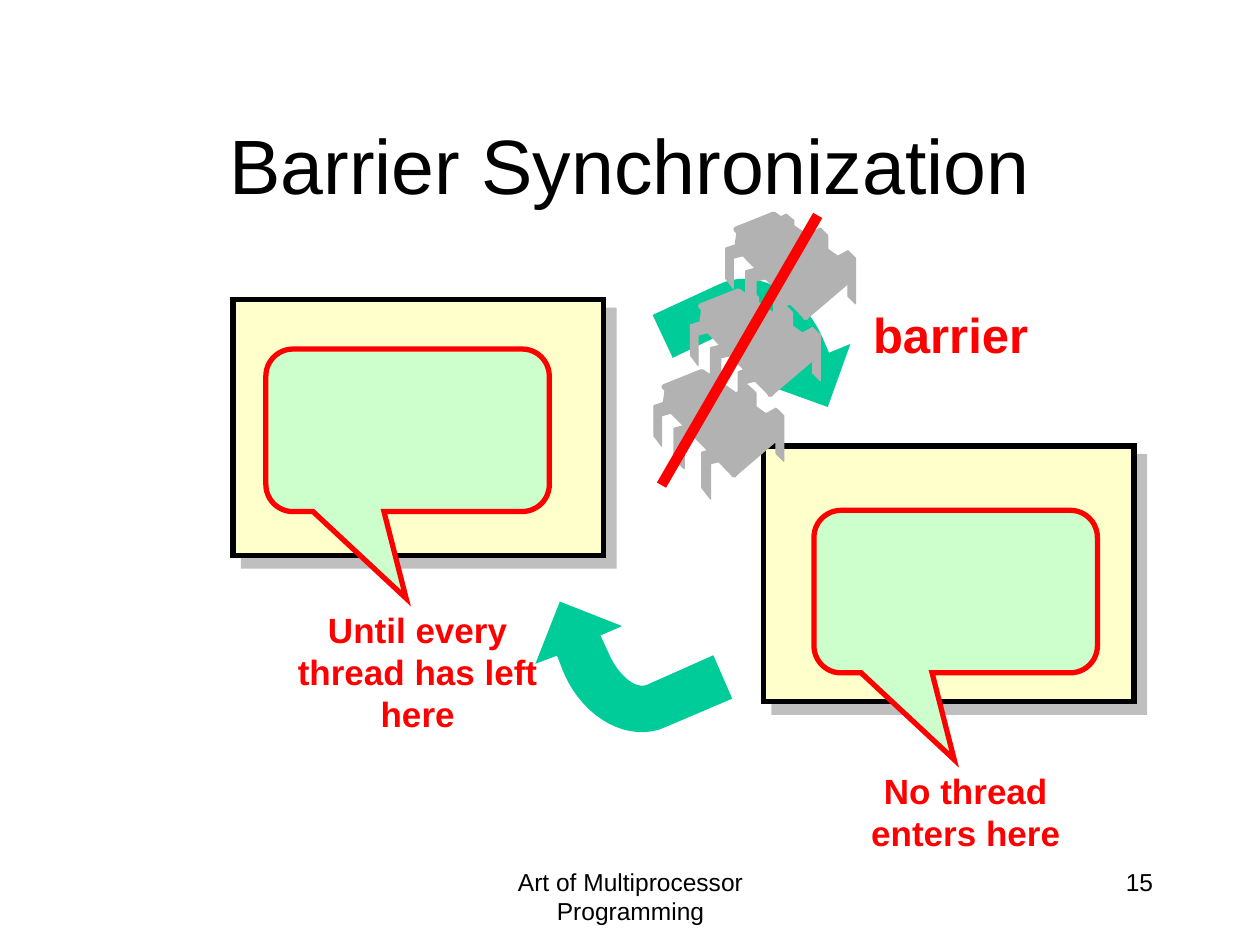
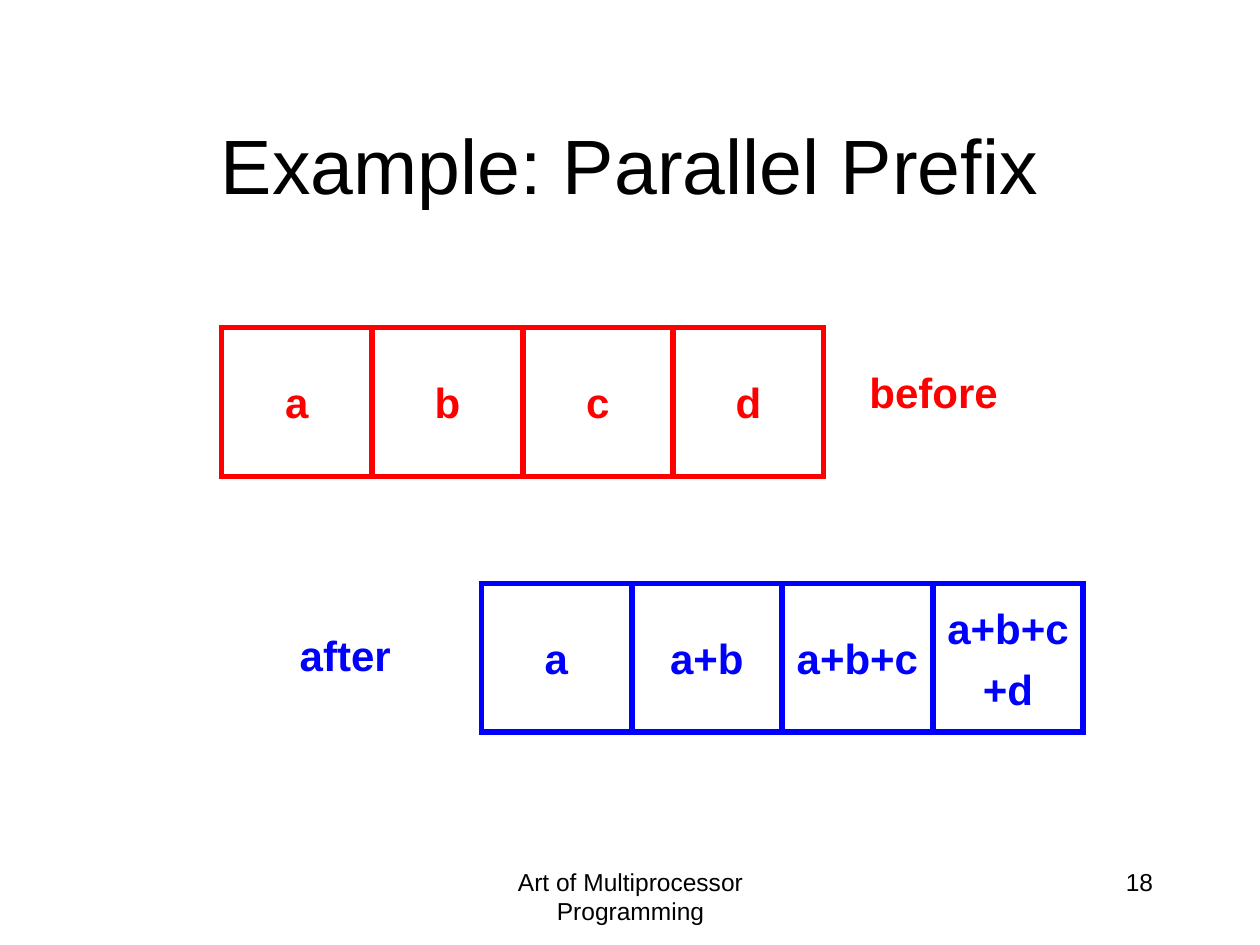
from math import cos, radians, sin

from lxml import etree
from pptx import Presentation
from pptx.dml.color import RGBColor
from pptx.enum.shapes import MSO_CONNECTOR, MSO_SHAPE
from pptx.enum.text import MSO_ANCHOR, PP_ALIGN
from pptx.oxml.ns import qn
from pptx.util import Inches, Pt

RECT = MSO_SHAPE.RECTANGLE
BUBBLE = MSO_SHAPE.ROUNDED_RECTANGULAR_CALLOUT
LINE = MSO_CONNECTOR.STRAIGHT
MID, TOP = MSO_ANCHOR.MIDDLE, MSO_ANCHOR.TOP
MIDDLE, RIGHT = PP_ALIGN.CENTER, PP_ALIGN.RIGHT

# Shared look
FONT = "Arial"
COLORS = {
    "black": "000000", "red": "FF0000", "blue": "0000FF", "cream": "FFFFCC",
    "mint": "CCFFCC", "green": "00CC99", "gray": "B2B2B2", "shade": "808080",
}
FOOTER = "Art of Multiprocessor Programming"
TITLE_AT = (0.75, 0.67, 8.5, 1.25)
FOOT_AT = (3.42, 6.83, 3.17, 0.5)
PAGE_AT = (7.17, 6.83, 2.08, 0.5)

# Barrier slide: rooms with their callouts and captions
ROOM = (2.94, 2.03)
ROOMS = [(1.85, 2.38), (6.06, 3.54)]
CALLOUT = (2.25, 1.29)
TIP = (-0.005, 1.034, 0.167)
NOTES = [
    ((6.46, 4.05), "No thread enters here", 0.77),
    ((2.11, 2.77), "Until every thread has left here", 1.1),
]
NOTE_DX, NOTE_DY, NOTE_W = 0.09, 2.01, 2.23

# Bent arrow: pairs are corners, sextets are cubic curves
ARROW = [
    (6.57, 3.23), (6.75, 2.73), (6.58, 2.8), (6.52, 2.66),
    (6.35, 2.3, 5.98, 2.12, 5.7, 2.26), (5.18, 2.5), (5.34, 2.84),
    (5.86, 2.59), (5.95, 2.55, 6.09, 2.66, 6.17, 2.83),
    (6.24, 2.97), (6.07, 3.05),
]
ARROW_MID = (6.045, 2.78)
ARROWS = [((6.045, 2.78), 0), ((4.955, 5.24), 181.7)]  # centre, turn

# Spider: line width and outline of each part, back to front
SPIDER = [
    (0.75, [(6.05, 3.3), (6.16, 3.24), (6.22, 3.3), (6.22, 3.66),
            (6.16, 3.6), (6.16, 3.36), (6.05, 3.42)]),
    (0.75, [(5.84, 3.12), (5.94, 3.06), (6, 3.12), (6, 3.48),
            (5.94, 3.42), (5.94, 3.18), (5.84, 3.24)]),
    (0.75, [(5.57, 3), (5.67, 2.95), (5.73, 3), (5.73, 3.3),
            (5.67, 3.25), (5.67, 3.05), (5.57, 3.1)]),
    (3, [(5.57, 2.95), (6.16, 3.36), (5.83, 3.61), (5.27, 3.07)]),
    (3, [(5.3, 3.06), (5.84, 3.6), (5.83, 3.77), (5.28, 3.21)]),
    (3, [(6.16, 3.36), (6.16, 3.48), (5.82, 3.77), (5.84, 3.59)]),
    (0.75, [(5.72, 3.54), (5.84, 3.63), (5.64, 3.68), (5.64, 3.96),
            (5.57, 3.87), (5.57, 3.59)]),
    (0.75, [(5.5, 3.36), (5.62, 3.44), (5.43, 3.48), (5.43, 3.72),
            (5.35, 3.64), (5.35, 3.4)]),
    (0.75, [(5.31, 3.18), (5.4, 3.26), (5.25, 3.3), (5.25, 3.54),
            (5.19, 3.46), (5.19, 3.22)]),
]
SHIFTS = [(0, 0), (0.57, -1.25), (0.29, -0.64)]
BAR = (5.25, 3.85, 6.49, 1.71)

# Prefix slide: colour, row origin, cells, label and its place
CELL_W, CELL_H, STEP = 1.19, 1.18, 1.195
ROWS = [
    ("red", (1.76, 2.6), ["a", "b", "c", "d"],
     "before", (6.8, 2.86, 1.22, 0.5)),
    ("blue", (3.82, 4.63), ["a", "a+b", "a+b+c", "a+b+c\n+d"],
     "after", (2.28, 4.95, 0.92, 0.5)),
]


def rgb(name):
    return RGBColor.from_string(COLORS[name])


def place(box):
    return [Inches(n) for n in box]


def paint(shape, fill=None, line=None, width=3, miter=True):
    shape.shadow.inherit = False
    if fill:
        shape.fill.solid()
        shape.fill.fore_color.rgb = rgb(fill)
    else:
        shape.fill.background()
    if not line:
        shape.line.fill.background()
        return
    shape.line.color.rgb = rgb(line)
    shape.line.width = Pt(width)
    if miter:
        join = etree.SubElement(shape.line._get_or_add_ln(), qn("a:miter"))
        join.set("lim", "800000")


def drop(shape):
    """Add a hard half-clear shadow, down and to the right."""
    effects = shape._element.spPr.find(qn("a:effectLst"))
    shade = etree.SubElement(effects, qn("a:outerShdw"), blurRad="0",
                             dist=str(Pt(8.5)), dir="2700000",
                             algn="ctr", rotWithShape="0")
    tint = etree.SubElement(shade, qn("a:srgbClr"), val=COLORS["shade"])
    etree.SubElement(tint, qn("a:alpha"), val="50000")


def write(frame, text, size=14, color="black", bold=False, align=MIDDLE,
          anchor=TOP, wrap=True, gap=0):
    frame.word_wrap = wrap
    frame.vertical_anchor = anchor
    for i, row in enumerate(text.split("\n")):
        para = frame.paragraphs[0] if i == 0 else frame.add_paragraph()
        para.alignment = align
        if i:
            para.space_before = Pt(gap)
        run = para.add_run()
        run.text = row
        run.font.name, run.font.size, run.font.bold = FONT, Pt(size), bold
        run.font.color.rgb = rgb(color)


def label(slide, text, box, **style):
    write(slide.shapes.add_textbox(*place(box)).text_frame, text, **style)


def trace(shapes, points):
    (x, y), *rest = [place(p) for p in points]
    pen = shapes.build_freeform(x, y, scale=1.0)
    pen.add_line_segments(rest, close=True)
    return pen.convert_to_shape()


def flatten(path, steps=16):
    """Turn cubic curves into short straight pieces."""
    points = []
    for part in path:
        if len(part) == 2:
            points.append(part)
            continue
        ends = [points[-1], part[:2], part[2:4], part[4:]]
        for i in range(1, steps + 1):
            t = i / steps
            u = 1 - t
            mix = (u ** 3, 3 * u * u * t, 3 * u * t * t, t ** 3)
            points.append(tuple(sum(m * e[k] for m, e in zip(mix, ends))
                                for k in (0, 1)))
    return points


def turn(points, mid, angle):
    c, s = cos(radians(angle)), sin(radians(angle))
    moved = [(x - ARROW_MID[0], y - ARROW_MID[1]) for x, y in points]
    return [(mid[0] + x * c - y * s, mid[1] + x * s + y * c)
            for x, y in moved]


def start(deck, title, page):
    slide = deck.slides.add_slide(deck.slide_layouts[6])
    label(slide, FOOTER, FOOT_AT)
    label(slide, page, PAGE_AT, align=RIGHT)
    label(slide, title, TITLE_AT, size=44, anchor=MID)
    return slide


def barrier(deck):
    slide = start(deck, "Barrier Synchronization", "15")
    shapes = slide.shapes
    for spot in ROOMS:
        room = shapes.add_shape(RECT, *place(spot + ROOM))
        paint(room, "cream", "black")
        drop(room)
    for mid, angle in ARROWS:
        paint(trace(shapes, turn(flatten(ARROW), mid, angle)), "green")

    # Crossed-out spiders
    for dx, dy in SHIFTS:
        group = shapes.add_group_shape()
        for width, outline in SPIDER:
            part = trace(group.shapes, [(x + dx, y + dy) for x, y in outline])
            paint(part, "gray", "gray", width, miter=False)
    bar = shapes.add_connector(LINE, *place(BAR))
    bar.line.color.rgb = rgb("red")
    bar.line.width = Pt(6)
    etree.SubElement(bar._element.spPr, qn("a:effectLst"))

    # Callouts and captions
    bold = {"color": "red", "bold": True}
    for spot, text, high in NOTES:
        bubble = shapes.add_shape(BUBBLE, *place(spot + CALLOUT))
        for i, value in enumerate(TIP):
            bubble.adjustments[i] = value
        paint(bubble, "mint", "red")
        box = (spot[0] + NOTE_DX, spot[1] + NOTE_DY, NOTE_W, high)
        label(slide, text, box, size=20, **bold)
    label(slide, "barrier", (6.83, 2.37, 1.43, 0.57), size=28, wrap=False,
          **bold)


def prefix(deck):
    slide = start(deck, "Example: Parallel Prefix", "18")
    for color, (x, y), cells, name, box in ROWS:
        style = {"size": 24, "color": color, "bold": True, "wrap": False}
        for i, text in enumerate(cells):
            spot = place((x + i * STEP, y, CELL_W, CELL_H))
            cell = slide.shapes.add_shape(RECT, *spot)
            paint(cell, line=color)
            write(cell.text_frame, text, anchor=MID, gap=6, **style)
        label(slide, name, box, **style)


def main():
    deck = Presentation()
    deck.slide_width, deck.slide_height = Inches(10), Inches(7.5)
    barrier(deck)
    prefix(deck)
    deck.save("out.pptx")


if __name__ == "__main__":
    main()
